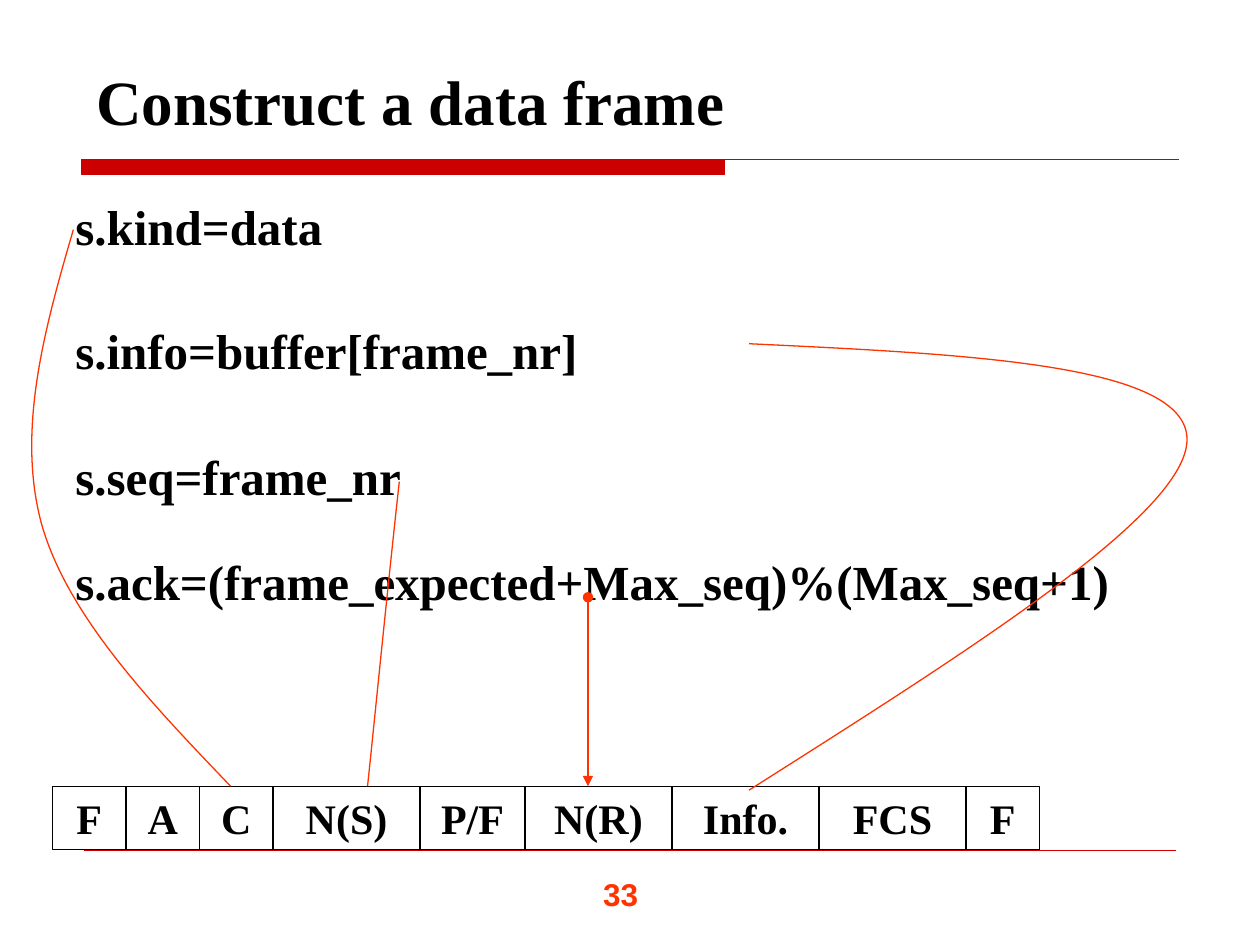
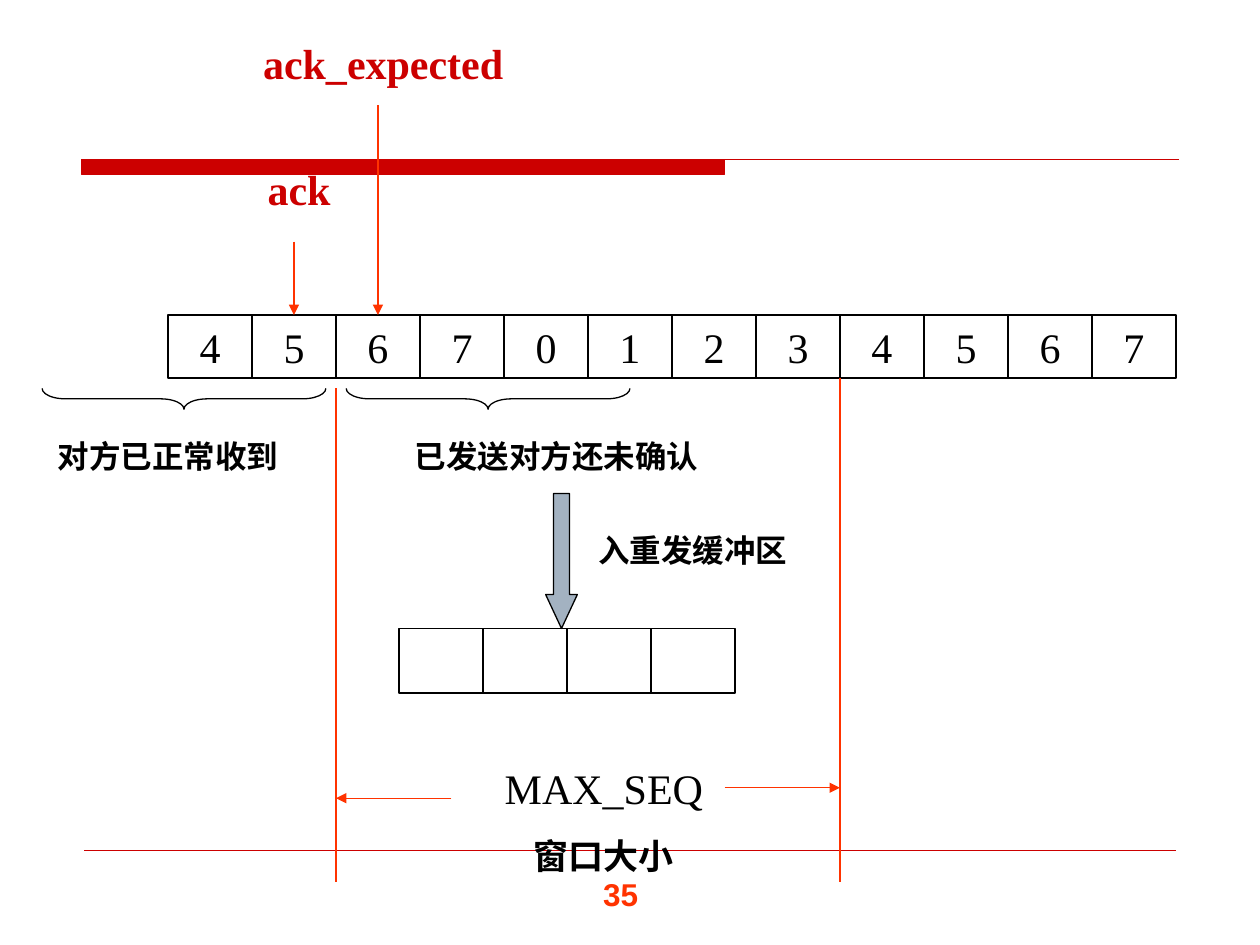
from dataclasses import dataclass

from lxml.etree import SubElement as Sub
from pptx import Presentation
from pptx.dml.color import RGBColor as RGB
from pptx.enum.shapes import MSO_CONNECTOR as Link, MSO_SHAPE as Kind
from pptx.enum.text import MSO_ANCHOR as Anchor, MSO_AUTO_SIZE as Fit, PP_ALIGN as Align
from pptx.oxml.ns import qn
from pptx.util import Cm, Pt


@dataclass(frozen=True)
class Theme:
    ink: RGB = RGB(0, 0, 0)
    red: RGB = RGB(0xCC, 0, 0)
    flame: RGB = RGB(0xFF, 0x33, 0)
    steel: RGB = RGB(0xA3, 0xB2, 0xC1)
    serif: str = "Times New Roman"
    sans: str = "Arial"
    title: int = 36
    code: int = 28
    label: int = 24
    sub: int = 20
    note: int = 18
    thin: float = 0.25
    line: float = 0.75


T = Theme()
STEP = 25.4 / 120  # the cell rows sit on a grid of 120 columns


def place(box):
    return [Cm(v) for v in box]


def style(para, size, color=T.ink, bold=True, face=T.serif, align=Align.LEFT):
    para.alignment = align
    font = para.font
    font.name, font.size, font.bold = face, Pt(size), bold
    font.color.rgb = color


def frame(shape):
    """Make the text of a shape wrap and start at its top."""
    text = shape.text_frame
    text.word_wrap = True
    text.auto_size = Fit.NONE
    text.vertical_anchor = Anchor.TOP
    return text


def write(slide, box, text, size, **look):
    body = frame(slide.shapes.add_textbox(*place(box)))
    body.text = text
    style(body.paragraphs[0], size, **look)
    return body


def outline(shape, color=T.ink, fill=None):
    shape.shadow.inherit = False
    if fill is None:
        shape.fill.background()
    else:
        shape.fill.solid()
        shape.fill.fore_color.rgb = fill
    shape.line.color.rgb = color
    shape.line.width = Pt(T.line)


def draw(slide, kind, box, fill=None):
    shape = slide.shapes.add_shape(kind, *place(box))
    outline(shape, fill=fill)
    return shape


def rule(slide, start, end, color=T.flame, width=T.line, head=None, tail=None):
    """Draw a straight line; head and tail name the marks at start and end."""
    line = slide.shapes.add_connector(Link.STRAIGHT, *place(start + end))
    line.line.color.rgb = color
    line.line.width = Pt(width)
    edge = line.line._get_or_add_ln()
    for tag, mark in (("a:headEnd", head), ("a:tailEnd", tail)):
        if mark:
            Sub(edge, qn(tag), type=mark)
    Sub(line._element.spPr, qn("a:effectLst"))


def arrow(slide, start, end, head=None):
    rule(slide, start, end, head=head, tail="triangle")


def curve(slide, *knots):
    """Draw joined cubic curves; each takes three knots after the first."""
    pen = slide.shapes.build_freeform(*place(knots[0]))
    pen.add_line_segments([place(knot) for knot in knots[1:]], close=False)
    shape = pen.convert_to_shape()
    outline(shape, T.flame)
    legs = list(shape._element.iter(qn("a:lnTo")))
    track = legs[0].getparent()
    for i in range(0, len(legs), 3):
        cubic = Sub(track, qn("a:cubicBezTo"))
        for leg in legs[i:i + 3]:
            cubic.append(leg[0])
            track.remove(leg)


def row(slide, left, top, high, cells, bold=False):
    """Draw touching cells, each a label and a width in grid steps."""
    for label, wide in cells:
        cell = draw(slide, Kind.RECTANGLE, (left * STEP, top, wide * STEP, high))
        if label:
            body = frame(cell)
            body.text = label
            style(body.paragraphs[0], T.label, bold=bold, align=Align.CENTER)
        left += wide


def brace(slide, left, top, wide, high):
    """Draw a brace that points down; the box is the one it fills on the slide."""
    mid, half = left + wide / 2, top + high / 2
    shape = draw(slide, Kind.LEFT_BRACE, (mid - high / 2, half - wide / 2, high, wide))
    shape.rotation = 270
    shape.adjustments[0] = 1.12


def band(slide):
    """Draw the red bar and the thin line that runs on from its top."""
    left, top, mid, right, low = 1.65, 3.22, 14.6, 23.77, 3.52
    pen = slide.shapes.build_freeform(*place((left, top)))
    pen.add_line_segments([place(p) for p in ((mid, top), (mid, low), (left, low))])
    pen.move_to(*place((left, top)))
    pen.add_line_segments([place((right, top))], close=False)
    outline(pen.convert_to_shape(), T.red, T.red)


def start(deck, layout, number):
    """Add a slide with the red band, the foot line and the page number."""
    slide = deck.slides.add_slide(deck.slide_layouts.get_by_name(layout))
    band(slide)
    rule(slide, (1.7, 17.15), (23.7, 17.15), T.red, T.thin)
    write(slide, (11.91, 17.51, 1.9, 1.02), number, T.note, color=T.flame, face=T.sans)
    return slide


def head(slide, text):
    title = slide.shapes.title
    title.left, title.top, title.width, title.height = place((1.69, 1.13, 20.96, 1.78))
    body = frame(title)
    body.text = text
    style(body.paragraphs[0], T.title)


def build(deck):
    """Show how the code fills the fields of a frame."""
    slide = start(deck, "Title Only", "33")
    head(slide, "Construct a data frame")
    for top, wide, text in (
        (3.84, 20.96, "s.kind=data"),
        (6.34, 20.96, "s.info=buffer[frame_nr]"),
        (8.88, 20.96, "s.seq=frame_nr"),
        (10.99, 22.02, "s.ack=(frame_expected+Max_seq)%(Max_seq+1)"),
    ):
        write(slide, (1.27, top, wide, 1.45), text, T.code)
    fields = (("F", 7), ("A", 7), ("C", 7), ("N(S)", 14), ("P/F", 10),
              ("N(R)", 14), ("Info.", 14), ("FCS", 14), ("F", 7))
    row(slide, 5, 15.85, 1.27, fields, bold=True)
    curve(slide, (1.48, 4.63), (0.89, 6.65), (0.33, 8.69), (0.84, 10.57),
          (1.37, 12.42), (3.02, 14.15), (4.65, 15.85))
    curve(slide, (15.1, 6.93), (19.51, 7.14), (23.93, 7.34), (23.93, 8.86),
          (23.93, 10.36), (19.51, 13.13), (15.1, 15.93))
    curve(slide, (8.05, 9.71), (7.77, 12.27), (7.52, 14.83), (7.41, 15.85))
    down = 56 * STEP
    arrow(slide, (down, 12.04), (down, 15.85), head="oval")


def window(deck):
    """Show the send window and the buffer for frames sent again."""
    slide = start(deck, "Blank", "35")
    mid = Align.CENTER
    for box, text in (((5.08, 3.18, 1.9, 1.27), "ack"),
                      ((4.45, 0.64, 6.55, 1.27), "ack_expected")):
        write(slide, box, text, T.label, color=T.red, align=mid)
    row(slide, 16, 6.35, 1.27, [(str((4 + i) % 8), 8) for i in range(12)])
    for col, top in ((28, 4.87), (36, 2.12)):
        arrow(slide, (col * STEP, top), (col * STEP, 6.35))

    low, high = 32 * STEP, 80 * STEP
    rule(slide, (low, 7.83), (low, 17.78))
    rule(slide, (high, 7.62), (high, 17.78))
    arrow(slide, (14.61, 15.88), (high, 15.88))
    arrow(slide, (9.1, 16.09), (low, 16.09))

    row(slide, 38, 12.67, 1.3, [("", 8)] * 4)
    down = draw(slide, Kind.DOWN_ARROW, (11.0, 9.95, 0.64, 2.72), T.steel)
    down.adjustments[1] = 1.07
    for left in (0.85, 6.98):
        brace(slide, left, 7.83, 5.72, 0.42)
    for left, top, wide, text in ((0.64, 8.69, 5.5, "对方已正常收到"),
                                  (7.41, 8.69, 7.62, "已发送对方还未确认"),
                                  (11.64, 10.58, 4.66, "入重发缓冲区")):
        write(slide, (left, top, wide, 1.02), text, T.note, align=mid)

    size = write(slide, (9.74, 15.24, 4.87, 2.57), "MAX_SEQ", T.label,
                 bold=False, align=mid)
    para = size.add_paragraph()
    para.text = "窗口大小"
    para.space_before = Pt(12.5)
    style(para, T.sub, align=mid)


def main():
    deck = Presentation()
    deck.slide_width, deck.slide_height = Cm(25.4), Cm(19.05)
    build(deck)
    window(deck)
    deck.save("out.pptx")


if __name__ == "__main__":
    main()
